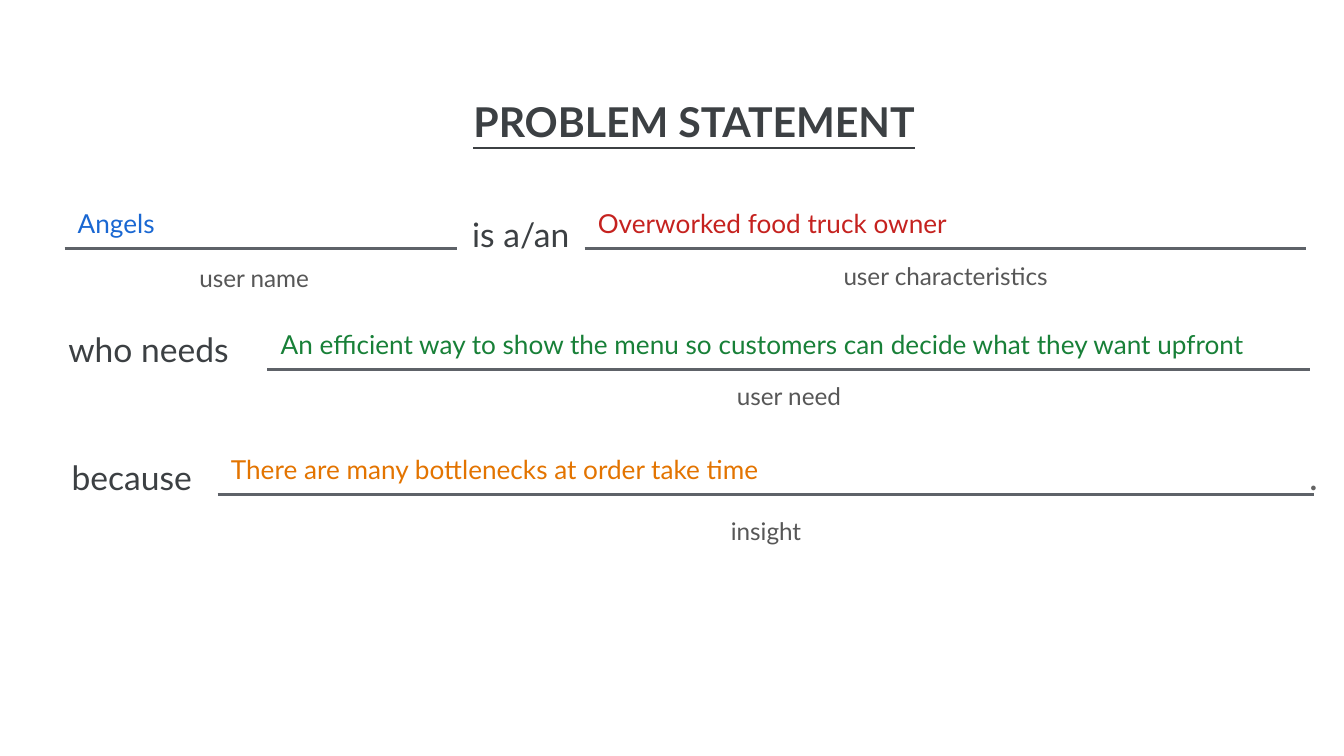
from lxml import etree
from pptx import Presentation
from pptx.dml.color import RGBColor
from pptx.enum.shapes import MSO_CONNECTOR
from pptx.enum.text import MSO_ANCHOR, PP_ALIGN
from pptx.oxml.ns import qn
from pptx.util import Inches, Pt

COLORS = {
    "dark": "3C4043", "caption": "575757", "rule": "5E6268", "period": "646464",
    "blue": "1967D2", "red": "C5221F", "green": "188038", "orange": "E37400",
}

# Blanks: answer, colour, left, right, rule y, caption, caption left, top, height
BLANKS = [
    ("Angels", "blue", 0.48, 3.40, 1.85, "user name", 0.43, 1.86, 0.35),
    ("Overworked food truck owner", "red", 4.35, 9.72, 1.85,
     "user characteristics", 4.35, 1.84, 0.35),
    ("An efficient way to show the menu so customers can decide what they want upfront",
     "green", 1.99, 9.75, 2.75, "user need", 1.99, 2.74, 0.52),
    ("There are many bottlenecks at order take time", "orange", 1.62, 9.78, 3.68,
     "insight", 1.62, 3.74, 0.63),
]

# Linking words: text, left, top, width, height, inset
LINKS = [
    ("is a/an", 3.40, 1.54, 0.95, 0.40, 0.05),
    ("who needs", 0.09, 2.35, 2.03, 0.63, 0.1),
    ("because", 0.09, 3.30, 1.78, 0.54, 0.1),
]

ANSWER_HEIGHT = 0.42

# Widescreen 16:9 slide
presentation = Presentation()
presentation.slide_width = Inches(10)
presentation.slide_height = Inches(10 * 9 / 16)
slide = presentation.slides.add_slide(presentation.slide_layouts[6])


def add_text(text, left, top, width, height, size, color,
             align=PP_ALIGN.CENTER, inset=0.1):
    box = slide.shapes.add_textbox(
        Inches(left), Inches(top), Inches(width), Inches(height))
    frame = box.text_frame
    frame.word_wrap = True
    frame.vertical_anchor = MSO_ANCHOR.TOP
    frame.margin_left = frame.margin_right = Inches(inset)
    frame.margin_top = frame.margin_bottom = Inches(inset)
    frame.text = text
    paragraph = frame.paragraphs[0]
    paragraph.alignment = align
    font = paragraph.runs[0].font
    font.name = "Lato"
    font.size = Pt(size)
    font.color.rgb = RGBColor.from_string(COLORS[color])
    return font


def add_rule(left, right, y):
    rule = slide.shapes.add_connector(
        MSO_CONNECTOR.STRAIGHT, Inches(left), Inches(y), Inches(right), Inches(y))
    rule.line.width = Pt(1.5)
    rule.line.color.rgb = RGBColor.from_string(COLORS["rule"])
    etree.SubElement(rule._element.spPr, qn("a:effectLst"))


# Title
title_font = add_text("PROBLEM STATEMENT", 0.43, 0.62, 9.47, 0.54, 22, "dark")
title_font.bold = True
title_font.underline = True

# Linking words and the closing period
for text, left, top, width, height, inset in LINKS:
    add_text(text, left, top, width, height, 18, "dark", inset=inset)
add_text(".", 9.69, 3.32, 0.32, 0.44, 20, "period", PP_ALIGN.LEFT, 0.05)

# Each blank: rule, caption below, answer above
for (answer, color, left, right, y,
     caption, caption_left, caption_top, caption_height) in BLANKS:
    width = right - left
    add_rule(left, right, y)
    add_text(caption, caption_left, caption_top, width, caption_height, 13, "caption")
    add_text(answer, left, y - ANSWER_HEIGHT + 0.01, width, ANSWER_HEIGHT, 14, color,
             PP_ALIGN.LEFT)

presentation.save("out.pptx")
